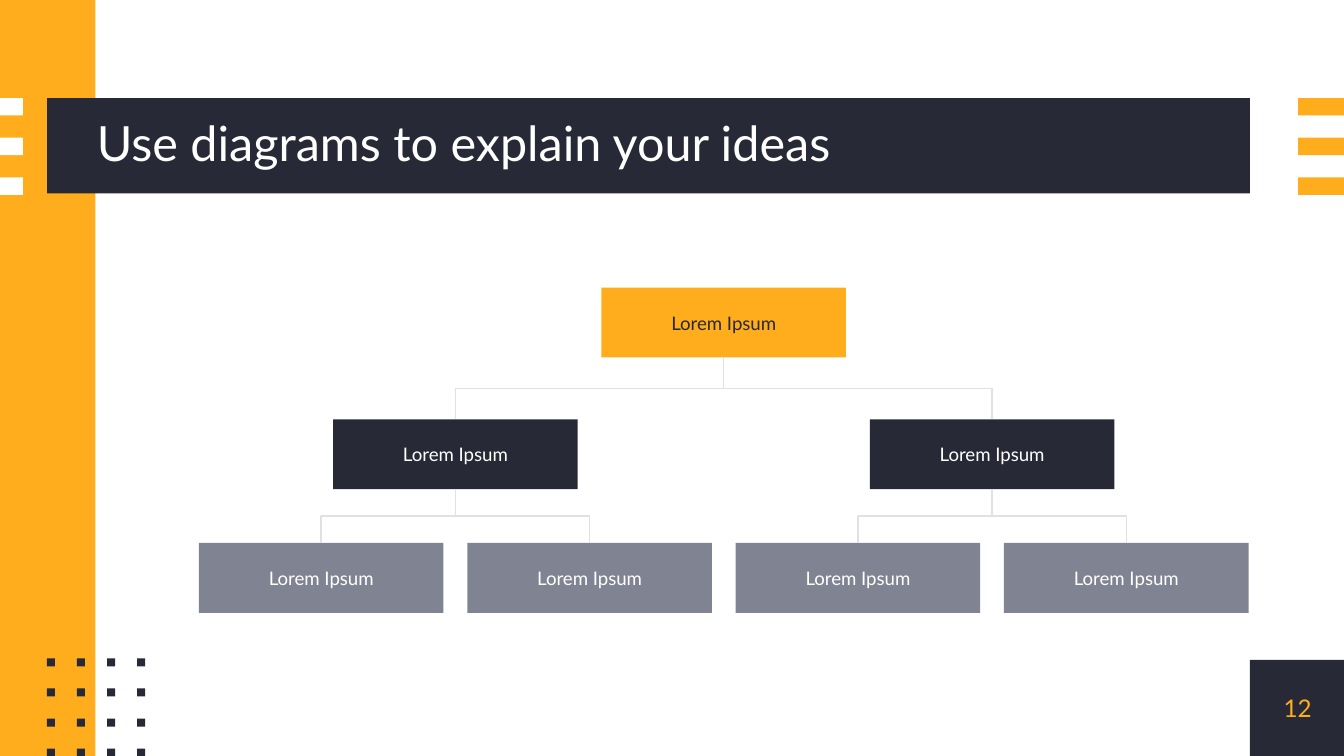
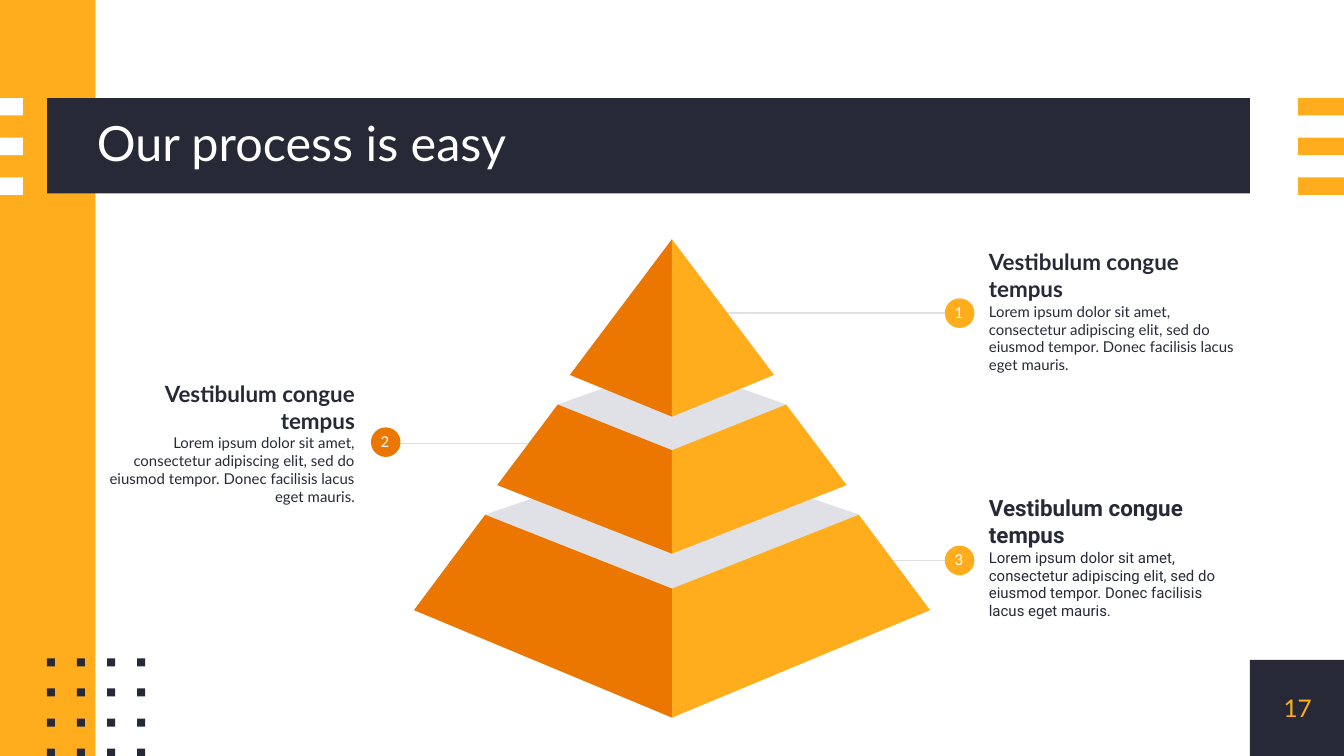
from lxml.etree import SubElement
from pptx import Presentation
from pptx.dml.color import RGBColor
from pptx.enum.shapes import MSO_CONNECTOR, MSO_SHAPE
from pptx.enum.text import MSO_ANCHOR, MSO_AUTO_SIZE, PP_ALIGN
from pptx.oxml.ns import qn
from pptx.util import Inches, Pt

COLORS = {
    "navy": "272A36",
    "yellow": "FFAD1D",
    "orange": "EB7700",
    "gray": "808392",
    "light": "E0E0E7",
    "white": "FFFFFF",
}
BODY = (
    "Lorem ipsum dolor sit amet, consectetur adipiscing elit, sed do "
    "eiusmod tempor. Donec facilisis lacus eget mauris."
)


def color(name):
    return RGBColor.from_string(COLORS[name])


def write(paragraph, text, *, size, fill, font="Lato", bold=False,
          align=PP_ALIGN.LEFT, line_spacing=None, after=None):
    run = paragraph.add_run()
    run.text = text
    run.font.name = font
    run.font.size = Pt(size)
    run.font.bold = bold
    run.font.color.rgb = color(fill)
    paragraph.alignment = align
    if line_spacing:
        paragraph.line_spacing = line_spacing
    if after:
        paragraph.space_after = Pt(after)


def set_frame(frame, inset, anchor=MSO_ANCHOR.MIDDLE):
    frame.word_wrap = True
    frame.auto_size = MSO_AUTO_SIZE.NONE
    frame.vertical_anchor = anchor
    frame.margin_left = frame.margin_right = Inches(inset)
    frame.margin_top = frame.margin_bottom = Inches(inset)


class Deck:
    def __init__(self):
        self.presentation = Presentation()
        self.presentation.slide_width = Inches(10)
        self.presentation.slide_height = Inches(10) * 9 // 16
        self.slide = None

    def start_slide(self, title, number):
        layout = self.presentation.slide_layouts[5]
        self.slide = self.presentation.slides.add_slide(layout)
        self.decorate()
        self.title(title)
        frame = self.text_box(9.3, 4.91, 0.71, 0.71, inset=0)
        write(frame.paragraphs[0], number, size=13, fill="yellow",
              align=PP_ALIGN.CENTER)

    def decorate(self):
        self.shape(9.3, 4.91, 0.71, 0.72, "navy")
        self.shape(0, 0, 0.71, 5.63, "yellow")
        self.shape(0.35, 0.73, 8.95, 0.71, "navy")
        for row in range(3):
            top = 0.73 + 0.295 * row
            self.shape(0, top, 0.17, 0.13, "white")
            self.shape(9.66, top, 0.34, 0.13, "yellow")
        dot_step = 0.67 / 3
        for row in range(4):
            for column in range(4):
                self.shape(0.35 + dot_step * column, 4.9 + dot_step * row,
                           0.06, 0.06, "navy")

    def title(self, text):
        title = self.slide.shapes.title
        self.slide.shapes.element.append(title.element)
        title.left, title.top = Inches(0.72), Inches(0.73)
        title.width, title.height = Inches(8.58), Inches(0.71)
        set_frame(title.text_frame, 0)
        write(title.text_frame.paragraphs[0], text, size=26, fill="white",
              line_spacing=0.9)

    def paint(self, shape, fill):
        shape.shadow.inherit = False
        shape.fill.solid()
        shape.fill.fore_color.rgb = color(fill)
        shape.line.fill.background()
        return shape

    def shape(self, left, top, width, height, fill, kind=MSO_SHAPE.RECTANGLE):
        shape = self.slide.shapes.add_shape(
            kind, Inches(left), Inches(top), Inches(width), Inches(height))
        return self.paint(shape, fill)

    def polygon(self, points, fill):
        corners = [(Inches(x), Inches(y)) for x, y in points]
        builder = self.slide.shapes.build_freeform(*corners[0])
        builder.add_line_segments(corners[1:], close=True)
        return self.paint(builder.convert_to_shape(), fill)

    def text_box(self, left, top, width, height, inset=0.1,
                 anchor=MSO_ANCHOR.MIDDLE):
        box = self.slide.shapes.add_textbox(
            Inches(left), Inches(top), Inches(width), Inches(height))
        set_frame(box.text_frame, inset, anchor)
        return box.text_frame

    def connector(self, kind, start_x, start_y, end_x, end_y):
        connector = self.slide.shapes.add_connector(
            kind, start_x, start_y, end_x, end_y)
        connector.line.color.rgb = color("light")
        connector.line.width = Pt(0.75)
        SubElement(connector.element.spPr, qn("a:effectLst"))
        return connector

    def line(self, start_x, end_x, y):
        self.connector(MSO_CONNECTOR.STRAIGHT, Inches(start_x), Inches(y),
                       Inches(end_x), Inches(y))

    def branch(self, parent, child):
        start_x, start_y = parent.left + parent.width // 2, parent.top + parent.height
        end_x, end_y = child.left + child.width // 2, child.top
        connector = self.connector(MSO_CONNECTOR.ELBOW, start_x, start_y, end_x, end_y)
        connector.begin_connect(parent, 2)
        connector.end_connect(child, 0)
        span, drop = abs(end_x - start_x), end_y - start_y
        connector.left = (start_x + end_x - drop) // 2
        connector.top = (start_y + end_y - span) // 2
        connector.width, connector.height = drop, span
        rightward = end_x > start_x
        transform = connector.element.spPr.find(qn("a:xfrm"))
        transform.set("rot", "16200000" if rightward else "5400000")
        transform.set("flipH", "1" if rightward else "0")
        transform.set("flipV", "0")

    def node(self, left, top, fill, text_fill="white"):
        node = self.shape(left, top, 1.82, 0.52, fill)
        set_frame(node.text_frame, 0.1)
        write(node.text_frame.paragraphs[0], "Lorem Ipsum", size=10,
              fill=text_fill, align=PP_ALIGN.CENTER)
        return node

    def step(self, number, text_left, text_top, badge_left, badge_top, fill,
             line_start, line_end, line_y, font="Lato", align=PP_ALIGN.LEFT):
        self.line(line_start, line_end, line_y)
        frame = self.text_box(text_left, text_top, 2.04, 1.51)
        write(frame.paragraphs[0], "Vestibulum congue tempus", size=12,
              fill="navy", font=font, bold=True, align=align)
        write(frame.add_paragraph(), BODY, size=8, fill="navy", font=font,
              align=align, after=16)
        self.shape(badge_left, badge_top, 0.22, 0.22, fill, MSO_SHAPE.OVAL)
        frame = self.text_box(badge_left - 0.03, badge_top - 0.06, 0.27, 0.34,
                              anchor=MSO_ANCHOR.TOP)
        write(frame.paragraphs[0], number, size=8, fill="white",
              align=PP_ALIGN.CENTER, after=16)

    def pyramid_tier(self, top_half, top_y, base_half, base_y,
                     ridge_top, ridge_base, back_y=None):
        center = 5
        if back_y:
            self.polygon([(center - top_half, top_y), (center, ridge_top),
                          (center + top_half, top_y), (center, back_y)], "light")
        for side, fill in ((-1, "orange"), (1, "yellow")):
            self.polygon([(center + side * top_half, top_y),
                          (center + side * base_half, base_y),
                          (center, ridge_base), (center, ridge_top)], fill)


def build_diagram(deck):
    deck.start_slide("Use diagrams to explain your ideas", "12")
    first_left, pitch = 1.48, 5.99 / 3
    root = deck.node(first_left + 1.5 * pitch, 2.14, "yellow", "navy")
    managers = [deck.node(first_left + (0.5 + 2 * index) * pitch, 3.12, "navy")
                for index in range(2)]
    leaves = [deck.node(first_left + index * pitch, 4.04, "gray")
              for index in range(4)]
    for manager in managers:
        deck.branch(root, manager)
    for index, leaf in enumerate(leaves):
        deck.branch(managers[index // 2], leaf)


def build_pyramid(deck):
    deck.start_slide("Our process is easy", "17")
    deck.step("3", 7.26, 3.39, 7.03, 4.06, "yellow", 6.6, 7.24, 4.17,
              font="Roboto")
    deck.step("2", 0.7, 2.54, 2.76, 3.18, "orange", 3.97, 2.83, 3.3,
              align=PP_ALIGN.RIGHT)
    deck.step("1", 7.26, 1.56, 7.03, 2.22, "yellow", 5.37, 7.24, 2.33)
    deck.pyramid_tier(1.39, 3.83, 1.92, 4.54, 4.38, 5.34, back_y=3.35)
    deck.pyramid_tier(0.85, 3.01, 1.3, 3.61, 3.35, 4.12, back_y=2.71)
    deck.pyramid_tier(0, 1.78, 0.76, 2.79, 1.78, 3.1)


def main():
    deck = Deck()
    build_diagram(deck)
    build_pyramid(deck)
    deck.presentation.save("out.pptx")


if __name__ == "__main__":
    main()
